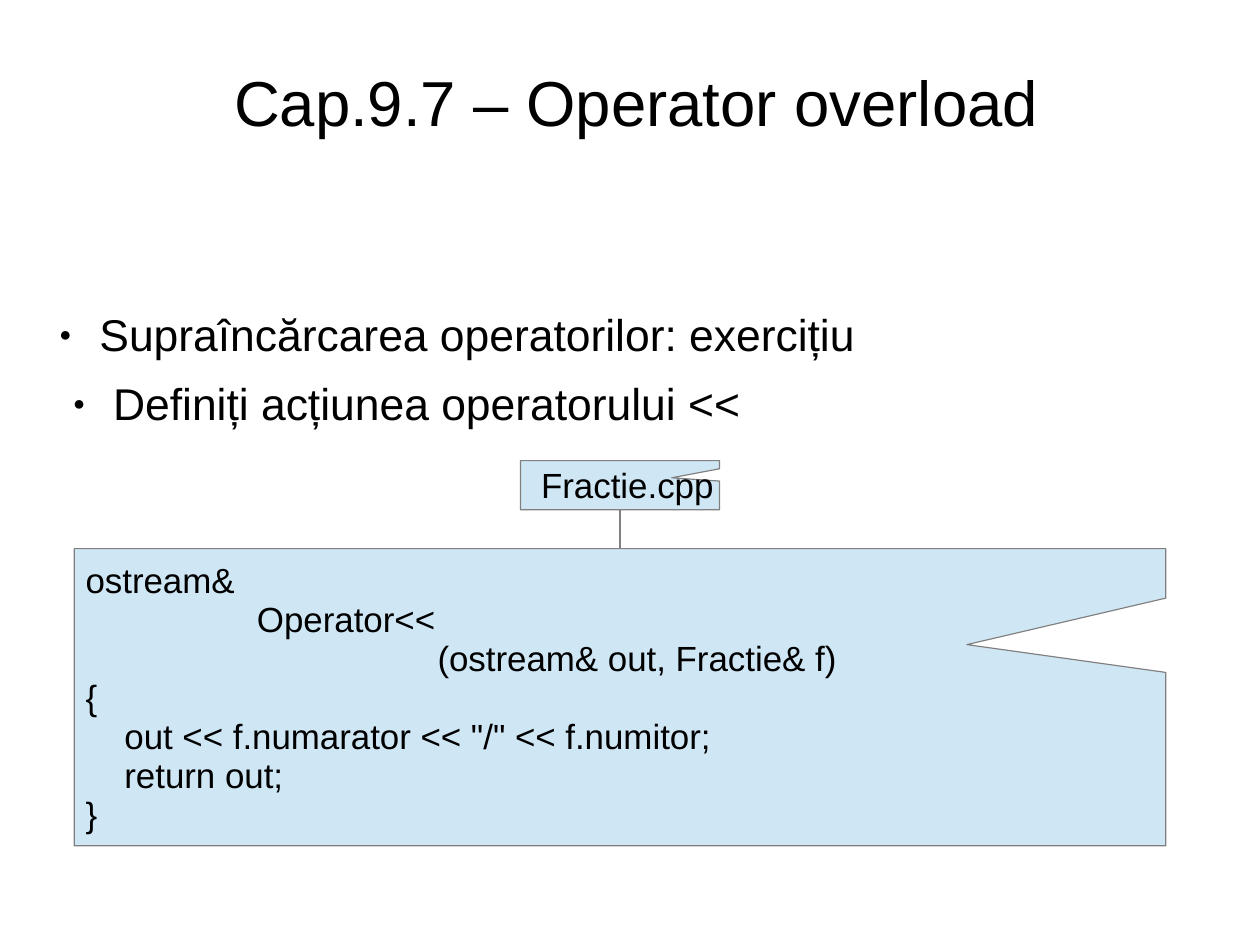
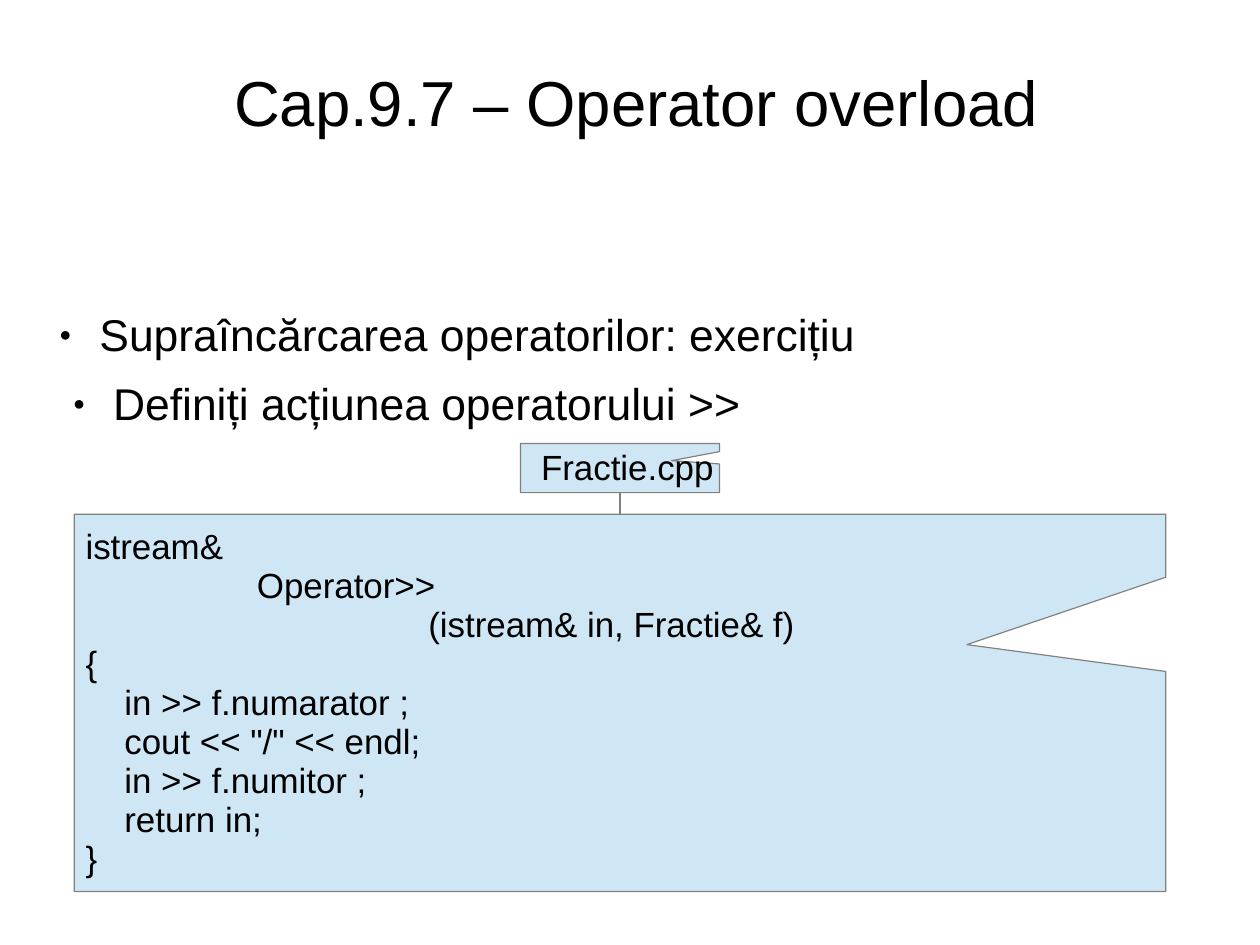
from lxml import etree
from pptx import Presentation
from pptx import util as u
from pptx.dml.color import RGBColor
from pptx.enum import shapes, text
from pptx.oxml.ns import qn

# Content: code lines are (indent in inches, text)
TITLE = "Cap.9.7 – Operator overload"
TOPIC = "Supraîncărcarea operatorilor: exercițiu"
FILE = "Fractie.cpp"
SLIDES = [
    {"task": "Definiți acțiunea operatorului <<",
     "tag": 4.03, "top": 4.8, "high": 2.6,
     "code": [(0, "ostream&"),
              (1.5, "Operator<<"),
              (3.08, "(ostream& out, Fractie& f)"),
              (0, "{"),
              (0.34, 'out << f.numarator << "/" << f.numitor;'),
              (0.34, "return out;"),
              (0, "}")]},
    {"task": "Definiți acțiunea operatorului >>",
     "tag": 3.88, "top": 4.5, "high": 3.3,
     "code": [(0, "istream&"),
              (1.5, "Operator>>"),
              (3, "(istream& in, Fractie& f)"),
              (0, "{"),
              (0.34, "in >> f.numarator ;"),
              (0.34, 'cout << "/" << endl;'),
              (0.34, "in >> f.numitor ;"),
              (0.34, "return in;"),
              (0, "}")]},
]

# Shared style
PAGE_W, PAGE_H = u.Emu(10080625), u.Emu(7559675)
FONT, INK, PALE, GREY = "Arial", "000000", "CFE7F5", "808080"
LEFT, WIDE = 0.65, 9.55
TAG_W, TAG_H = 1.74, 0.43
TIP_X, TIP_Y = 8.46, 5.64
PLACES = [(0.36, 0.28, 10.41, 1.24), (0.4, 2.7, 7.2, 0.6)]
TASK = (0.52, 3.3, 9.98, 0.7)


def color(code):
    return RGBColor.from_string(code)


def frame(shape, insets, anchor):
    tf = shape.text_frame
    tf.word_wrap = True
    tf.auto_size = text.MSO_AUTO_SIZE.NONE
    tf.vertical_anchor = anchor
    (tf.margin_left, tf.margin_top,
     tf.margin_right, tf.margin_bottom) = map(u.Inches, insets)
    return tf


def write(tf, lines, size, align=text.PP_ALIGN.LEFT, after=0, hang=0):
    for i, (indent, words) in enumerate(lines):
        par = tf.add_paragraph() if i else tf.paragraphs[0]
        par.alignment = align
        par.line_spacing = 0.93
        par.space_before = u.Pt(0)
        par.space_after = u.Pt(after)
        props = par._p.get_or_add_pPr()
        props.set("marL", str(u.Inches(indent)))
        props.set("indent", str(u.Inches(-hang)))
        if hang:
            bullet(props)
        run = par.add_run()
        run.text = words
        run.font.name = FONT
        run.font.size = u.Pt(size)
        run.font.color.rgb = color(INK)


def bullet(props):
    tint = etree.SubElement(props, qn("a:buClr"))
    etree.SubElement(tint, qn("a:srgbClr"), val=INK)
    etree.SubElement(props, qn("a:buSzPct"), val="45000")
    etree.SubElement(props, qn("a:buFont"), typeface=FONT)
    etree.SubElement(props, qn("a:buChar"), char="●")


def callout(slide, box, tip, insets, lines):
    shape = slide.shapes.add_shape(
        shapes.MSO_SHAPE.RECTANGULAR_CALLOUT, *map(u.Inches, box))
    shape.adjustments[0], shape.adjustments[1] = tip
    shape.shadow.inherit = False
    shape.fill.solid()
    shape.fill.fore_color.rgb = color(PALE)
    shape.line.color.rgb = color(GREY)
    shape.line.width = u.Pt(0.75)
    write(frame(shape, insets, text.MSO_ANCHOR.MIDDLE), lines, 22)
    return shape


def link(slide, start, end):
    line = slide.shapes.add_connector(shapes.MSO_CONNECTOR.STRAIGHT, 0, 0, 0, 0)
    line.begin_connect(start, 2)
    line.end_connect(end, 0)
    line.line.color.rgb = color(GREY)
    line.line.width = u.Pt(0.75)
    etree.SubElement(line._element.spPr, qn("a:effectLst"))


def build(deck, layout, data):
    slide = deck.slides.add_slide(layout)
    title, body = slide.placeholders

    # Title and list
    write(frame(title, (0, 0.04, 0, 0), text.MSO_ANCHOR.MIDDLE),
          [(0, TITLE)], 40, text.PP_ALIGN.CENTER)
    task = slide.shapes.add_textbox(*map(u.Inches, TASK))
    for item, words in ((body, TOPIC), (task, data["task"])):
        write(frame(item, (0, 0.03, 0, 0), text.MSO_ANCHOR.TOP),
              [(0.47, words)], 28, after=14.1, hang=0.35)

    # File tag centred over its code
    tag = callout(slide, (LEFT + (WIDE - TAG_W) / 2, data["tag"], TAG_W, TAG_H),
                  (0.26, -0.15), (0.18, 0.07, 0, 0.05), [(0, FILE)])
    top, high = data["top"], data["high"]
    code = callout(slide, (LEFT, top, WIDE, high),
                   ((TIP_X - LEFT) / WIDE - 0.5, (TIP_Y - top) / high - 0.5),
                   (0.1, 0.07, 0.1, 0.05), data["code"])
    link(slide, tag, code)


def main():
    deck = Presentation()
    deck.slide_width = PAGE_W
    deck.slide_height = PAGE_H
    layout = deck.slide_layouts[1]
    for holder, place in zip(layout.placeholders, PLACES):
        (holder.left, holder.top,
         holder.width, holder.height) = map(u.Inches, place)
    for data in SLIDES:
        build(deck, layout, data)
    deck.save("out.pptx")


if __name__ == "__main__":
    main()
